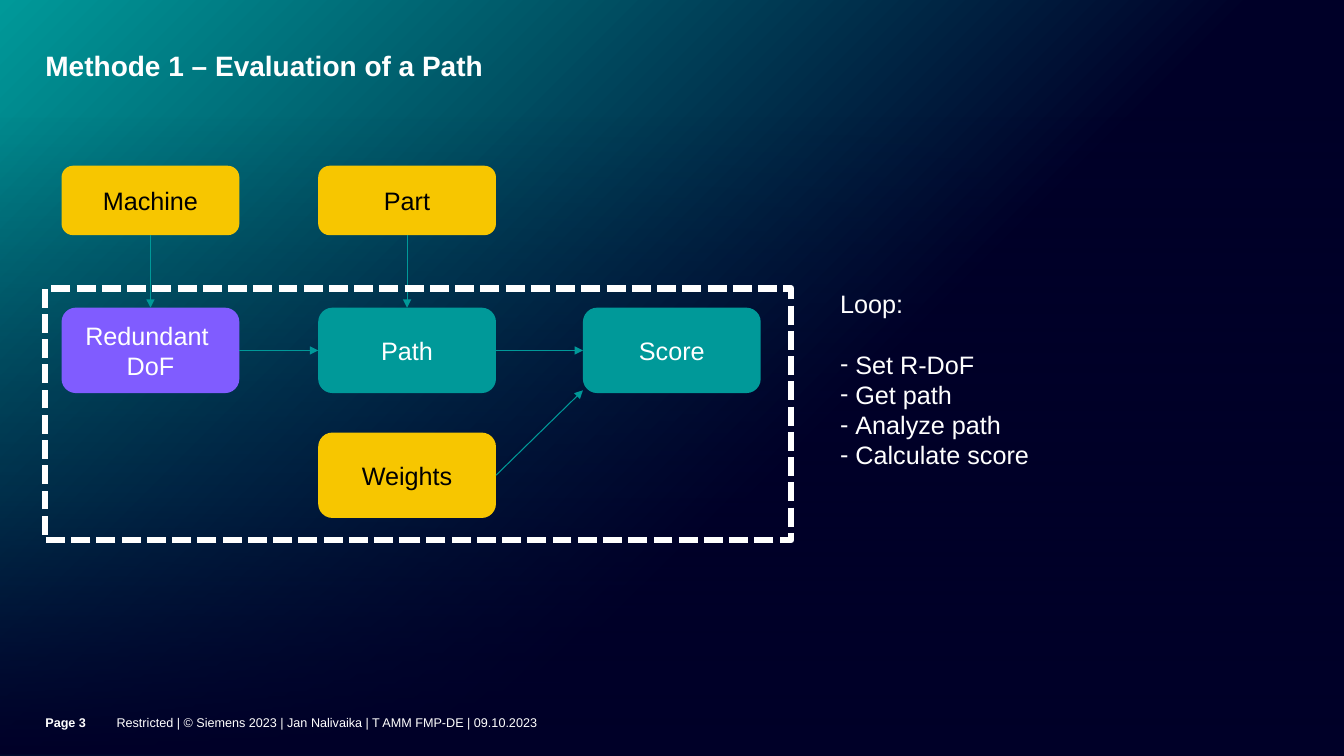
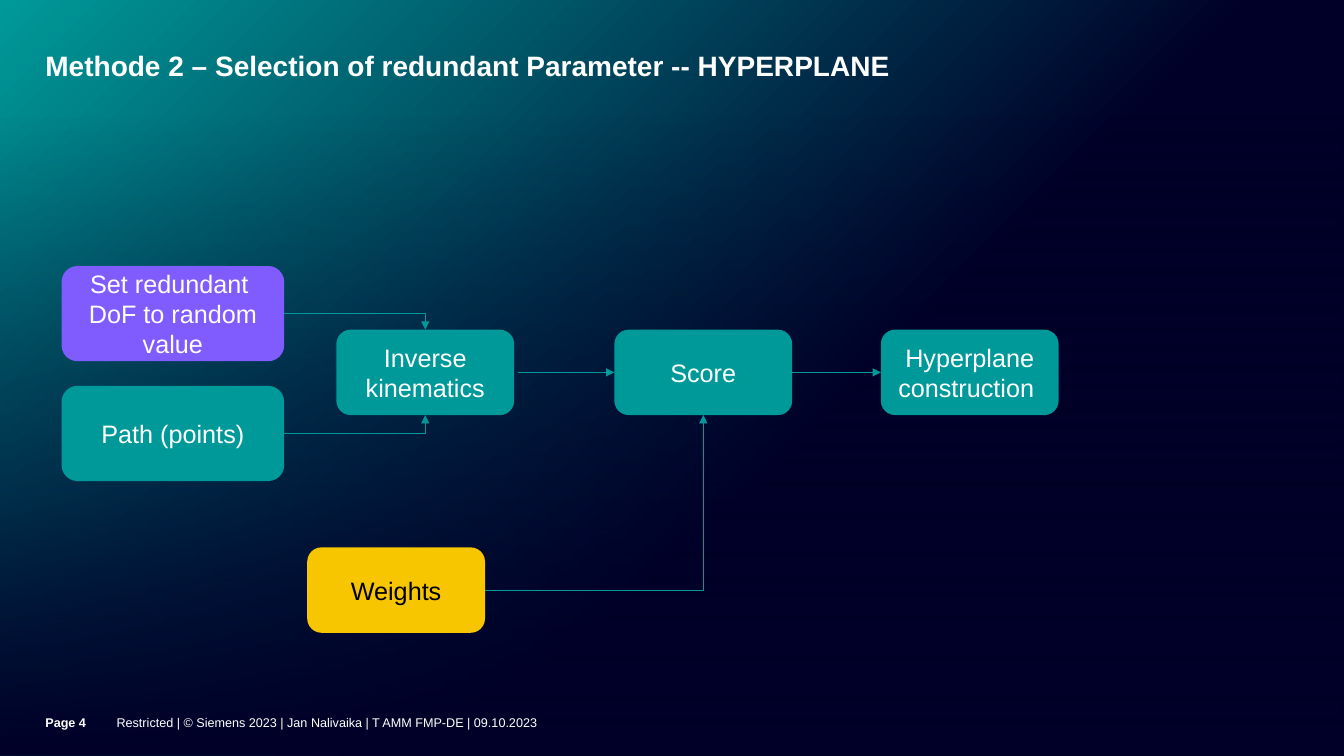
from dataclasses import dataclass
from typing import NamedTuple

from lxml import etree
from pptx import Presentation
from pptx.dml.color import RGBColor
from pptx.enum.dml import MSO_LINE
from pptx.enum.shapes import MSO_CONNECTOR, MSO_SHAPE
from pptx.enum.text import MSO_ANCHOR, MSO_AUTO_SIZE, PP_ALIGN
from pptx.oxml import parse_xml
from pptx.oxml.ns import nsdecls, qn
from pptx.util import Pt


@dataclass(frozen=True)
class Theme:
    font: str = "Arial"
    navy: str = "000028"
    teal: str = "009999"
    violet: str = "805CFF"
    yellow: str = "F7C600"
    white: str = "FFFFFF"
    black: str = "000000"
    title_size: int = 20
    text_size: int = 18
    footer_size: int = 9


THEME = Theme()
WIDTH, HEIGHT = 960, 540
MARGIN = 32.4
FOOTER = "Restricted | © Siemens 2023 | Jan Nalivaika | T AMM FMP-DE | 09.10.2023"
TITLE_LAYOUT, CONTENT_LAYOUT = 5, 1
TOP, LEFT, BOTTOM, RIGHT = range(4)

BOX_W, BOX_H = 127, 61


class Joint(NamedTuple):
    """The middle of one side of a box."""
    box: object
    side: int


class Point(NamedTuple):
    x: float
    y: float


def place(shape, left, top, width, height):
    shape.left, shape.top = Pt(left), Pt(top)
    shape.width, shape.height = Pt(width), Pt(height)


def set_insets(frame, left=0, top=0, right=0, bottom=0):
    frame.margin_left, frame.margin_top = Pt(left), Pt(top)
    frame.margin_right, frame.margin_bottom = Pt(right), Pt(bottom)


def style(paragraph, size, color=THEME.white, bold=False, align=PP_ALIGN.LEFT):
    paragraph.alignment = align
    font = paragraph.font
    font.name, font.size, font.bold = THEME.font, Pt(size), bold
    font.color.rgb = RGBColor.from_string(color)


def set_gradient(properties, stops, direction):
    """Replace a solid fill by (position, colour, opacity) stops, in percent."""
    stop_xml = "".join(
        f'<a:gs pos="{position * 1000}"><a:srgbClr val="{color}">'
        f'<a:alpha val="{opacity * 1000}"/></a:srgbClr></a:gs>'
        for position, color, opacity in stops)
    gradient = parse_xml(f'<a:gradFill {nsdecls("a")} rotWithShape="1">'
                         f"<a:gsLst>{stop_xml}</a:gsLst>{direction}</a:gradFill>")
    properties.replace(properties.find(qn("a:solidFill")), gradient)


def add_footer_text(slide, text, left, width, bold=False):
    footer = slide.shapes.add_textbox(Pt(left), Pt(497), Pt(width), Pt(43))
    frame = footer.text_frame
    frame.word_wrap = True
    frame.vertical_anchor = MSO_ANCHOR.MIDDLE
    set_insets(frame, bottom=5)
    frame.text = text
    style(frame.paragraphs[0], THEME.footer_size, bold=bold)
    return footer


def move_to_master(master, shape, position):
    tree = master.shapes._spTree
    shape._element.nvSpPr.cNvPr.set("id", str(100 + len(tree)))
    tree.insert(position, shape._element)


def design_master(master, slide):
    """Give the master its background, band, footer line and title place."""
    master.background.fill.solid()
    set_gradient(master._element.find(".//" + qn("p:bgPr")),
                 [(40, THEME.navy, 100), (100, THEME.teal, 100)],
                 '<a:path path="circle"><a:fillToRect l="100000" t="100000"/></a:path>')

    band = slide.shapes.add_shape(MSO_SHAPE.RECTANGLE, 0, Pt(83), Pt(WIDTH), Pt(HEIGHT - 83))
    band.shadow.inherit = False
    band.line.fill.background()
    band.fill.solid()
    set_gradient(band._element.spPr,
                 [(0, THEME.navy, 100), (40, THEME.navy, 50), (100, THEME.navy, 0)],
                 '<a:lin ang="16200000" scaled="0"/>')
    move_to_master(master, band, 2)
    move_to_master(master, add_footer_text(slide, FOOTER, 83.3, 726), 3)

    for placeholder in master.placeholders:
        if placeholder.placeholder_format.type == 1:
            place(placeholder, MARGIN, 37.5, 777, 45.5)


def add_page(slide, number, title):
    frame = slide.shapes.title.text_frame
    frame.text = title
    frame.vertical_anchor = MSO_ANCHOR.TOP
    frame.auto_size = MSO_AUTO_SIZE.NONE
    set_insets(frame, right=25, bottom=1.5)
    style(frame.paragraphs[0], THEME.title_size, bold=True)
    frame.paragraphs[0].line_spacing = 0.9
    place(slide.shapes.title, MARGIN, 37.5, 777, 45.5)
    add_footer_text(slide, f"Page {number}", MARGIN, 51, bold=True)


def add_box(slide, text, left, top, fill=THEME.teal, width=BOX_W, height=BOX_H):
    box = slide.shapes.add_shape(MSO_SHAPE.ROUNDED_RECTANGLE,
                                 Pt(left), Pt(top), Pt(width), Pt(height))
    box.shadow.inherit = False
    box.fill.solid()
    box.fill.fore_color.rgb = RGBColor.from_string(fill)
    box.line.fill.background()
    frame = box.text_frame
    frame.word_wrap = True
    frame.vertical_anchor = MSO_ANCHOR.MIDDLE
    set_insets(frame, 8.5, 5.67, 8.5, 5.67)
    frame.text = text
    color = THEME.black if fill == THEME.yellow else THEME.white
    for paragraph in frame.paragraphs:
        style(paragraph, THEME.text_size, color, align=PP_ALIGN.CENTER)
    return box


def add_arrow(slide, start, end, bent=False):
    """Draw an arrow between two ends, each a Joint or a Point."""
    start_at, end_at = [
        (Pt(stop.x), Pt(stop.y)) if isinstance(stop, Point) else (0, 0)
        for stop in (start, end)]
    kind = MSO_CONNECTOR.ELBOW if bent else MSO_CONNECTOR.STRAIGHT
    arrow = slide.shapes.add_connector(kind, *start_at, *end_at)
    if isinstance(start, Joint):
        arrow.begin_connect(start.box, start.side)
    if isinstance(end, Joint):
        arrow.end_connect(end.box, end.side)
    arrow.line.color.rgb = RGBColor.from_string(THEME.teal)
    arrow.line.width = Pt(0.75)
    properties = arrow._element.spPr
    if bent:
        properties.find(qn("a:prstGeom")).set("prst", "bentConnector2")
    etree.SubElement(properties.find(qn("a:ln")), qn("a:tailEnd"), type="triangle")
    etree.SubElement(properties, qn("a:effectLst"))


def add_loop_frame(slide, left, top, width, height):
    frame = slide.shapes.add_shape(MSO_SHAPE.RECTANGLE,
                                   Pt(left), Pt(top), Pt(width), Pt(height))
    frame.shadow.inherit = False
    frame.fill.background()
    frame.line.color.rgb = RGBColor.from_string(THEME.white)
    frame.line.width = Pt(4.5)
    frame.line.dash_style = MSO_LINE.SQUARE_DOT


def set_bullet(paragraph, character=None, indent=0):
    properties = paragraph._p.get_or_add_pPr()
    properties.set("marL", str(Pt(indent)))
    properties.set("indent", str(-Pt(indent)))
    if character:
        etree.SubElement(properties, qn("a:buChar"), char=character)
    else:
        etree.SubElement(properties, qn("a:buNone"))


def fill_steps(body, heading, steps):
    """Write a heading and its dashed list into the body placeholder."""
    place(body, 600, 206, 224, 131)
    frame = body.text_frame
    frame.auto_size = MSO_AUTO_SIZE.NONE
    set_insets(frame)
    frame.text = "\n".join([heading, *steps])
    for index, paragraph in enumerate(frame.paragraphs):
        if index:
            set_bullet(paragraph, "-", 11)
        else:
            set_bullet(paragraph)
        paragraph.space_before = Pt(21.6 if index == 1 else 0)
        style(paragraph, THEME.text_size)


def draw_evaluation(slide):
    first, second, third = 44, 227.3, 416.4
    inputs_top, flow_top, weights_top = 118.4, 219.8, 309
    add_page(slide, 3, "Methode 1 – Evaluation of a Path")

    redundant = add_box(slide, "Redundant \nDoF", first, flow_top, THEME.violet)
    path_box = add_box(slide, "Path", second, flow_top)
    score = add_box(slide, "Score", third, flow_top)
    machine = add_box(slide, "Machine", first, inputs_top, THEME.yellow, height=49.6)
    part = add_box(slide, "Part", second, inputs_top, THEME.yellow, height=49.6)
    weights = add_box(slide, "Weights", second, weights_top, THEME.yellow)

    add_arrow(slide, Joint(machine, BOTTOM), Joint(redundant, TOP))
    add_arrow(slide, Joint(part, BOTTOM), Joint(path_box, TOP))
    add_arrow(slide, Joint(redundant, RIGHT), Joint(path_box, LEFT))
    add_arrow(slide, Joint(path_box, RIGHT), Joint(score, LEFT))
    add_arrow(slide, Joint(weights, RIGHT), Point(third, flow_top + BOX_H - 2))

    add_loop_frame(slide, MARGIN, 206, 532.8, 180)
    fill_steps(slide.placeholders[1], "Loop:",
               ["Set R-DoF", "Get path", "Analyze path", "Calculate score"])


def draw_selection(slide):
    inputs_left, flow_top = 44, 235.5
    kinematics_left = 240.3
    input_size = {"width": 159, "height": 68}
    add_page(slide, 4, "Methode 2 – Selection of redundant Parameter -- HYPERPLANE")

    redundant = add_box(slide, "Set redundant \nDoF to random value",
                        inputs_left, 190, THEME.violet, **input_size)
    points = add_box(slide, "Path (points)", inputs_left, 275.6, **input_size)
    kinematics = add_box(slide, "Inverse kinematics", kinematics_left, flow_top)
    score = add_box(slide, "Score", 438.9, flow_top)
    hyperplane = add_box(slide, "Hyperplane construction ", 629.2, flow_top)
    weights = add_box(slide, "Weights", 219.5, 391, THEME.yellow)

    add_arrow(slide, Joint(redundant, RIGHT), Joint(kinematics, TOP), bent=True)
    add_arrow(slide, Joint(points, RIGHT), Joint(kinematics, BOTTOM), bent=True)
    add_arrow(slide, Joint(weights, RIGHT), Joint(score, BOTTOM), bent=True)
    add_arrow(slide, Point(kinematics_left + BOX_W + 3, flow_top + BOX_H / 2),
              Joint(score, LEFT))
    add_arrow(slide, Joint(score, RIGHT), Joint(hyperplane, LEFT))


def main():
    deck = Presentation()
    deck.slide_width, deck.slide_height = Pt(WIDTH), Pt(HEIGHT)
    evaluation = deck.slides.add_slide(deck.slide_layouts[CONTENT_LAYOUT])
    selection = deck.slides.add_slide(deck.slide_layouts[TITLE_LAYOUT])
    design_master(deck.slide_master, evaluation)
    draw_evaluation(evaluation)
    draw_selection(selection)
    deck.save("out.pptx")


if __name__ == "__main__":
    main()
